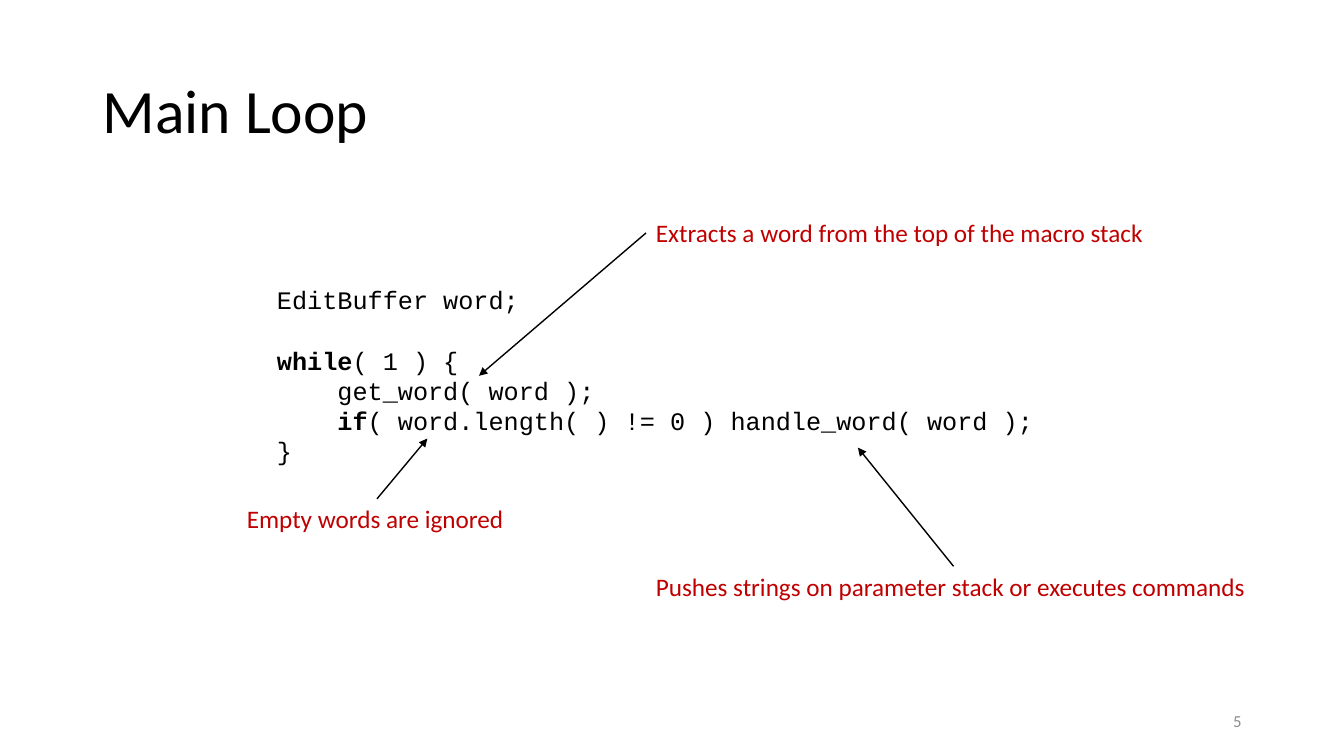
from pptx import Presentation
from pptx.dml.color import RGBColor
from pptx.enum.shapes import MSO_CONNECTOR
from pptx.enum.text import MSO_ANCHOR, MSO_AUTO_SIZE, PP_ALIGN
from pptx.oxml.ns import qn
from pptx.util import Cm, Pt
from lxml.etree import SubElement

COLORS = {"text": "000000", "note": "C00000", "number": "8C8C8C"}


def format_run(run, size, color, font="Calibri", bold=False):
    run.font.name = font
    run.font.size = Pt(size)
    run.font.bold = bold
    run.font.color.rgb = RGBColor.from_string(COLORS[color])


def add_text_box(left, top, width, height, wrap=False):
    text_box = slide.shapes.add_textbox(Cm(left), Cm(top), Cm(width), Cm(height))
    text_box.text_frame.word_wrap = wrap
    if not wrap:
        text_box.text_frame.auto_size = MSO_AUTO_SIZE.SHAPE_TO_FIT_TEXT
    return text_box.text_frame


presentation = Presentation()
presentation.slide_width = Cm(33.87)
presentation.slide_height = Cm(19.05)
slide = presentation.slides.add_slide(presentation.slide_layouts[5])

# Title
title = slide.shapes.title
title.left, title.top, title.width, title.height = Cm(2.33), Cm(1.01), Cm(29.21), Cm(3.68)
title.text_frame.text = "Main Loop"
title.text_frame.vertical_anchor = MSO_ANCHOR.MIDDLE
title_paragraph = title.text_frame.paragraphs[0]
title_paragraph.alignment = PP_ALIGN.LEFT
title_paragraph.line_spacing = 0.9
format_run(title_paragraph.runs[0], 44, "text")

# Slide number
number_frame = add_text_box(23.92, 17.66, 7.62, 1.01, wrap=True)
number_frame.text = "5"
number_frame.vertical_anchor = MSO_ANCHOR.MIDDLE
number_frame.paragraphs[0].alignment = PP_ALIGN.RIGHT
format_run(number_frame.paragraphs[0].runs[0], 12, "number")

# Code: indent level, keyword, rest of the line
code_lines = [
    (0, "", "EditBuffer word;"),
    (0, "while", "( 1 ) {"),
    (1, "", "get_word( word );"),
    (1, "if", "( word.length( ) != 0 ) handle_word( word );"),
    (0, "", "}"),
]
INDENT = Pt(43.2)  # four characters of 18 pt Courier New
code_frame = add_text_box(6.73, 7.04, 20.42, 4.88)
for index, (level, keyword, rest) in enumerate(code_lines):
    paragraph = code_frame.paragraphs[0] if index == 0 else code_frame.add_paragraph()
    paragraph._p.get_or_add_pPr().set("marL", str(level * INDENT))
    if keyword == "while":
        paragraph.space_before = Pt(21.7)
    for text, bold in ((keyword, True), (rest, False)):
        if text:
            run = paragraph.add_run()
            run.text = text
            format_run(run, 18, "text", "Courier New", bold)

# Notes on the code
notes = [
    ("Extracts a word from the top of the macro stack", 16.28, 5.36, 12.93),
    ("Pushes strings on parameter stack or executes commands", 16.28, 14.27, 15.52),
    ("Empty words are ignored", 5.97, 12.57, 7.06),
]
for text, left, top, width in notes:
    note_frame = add_text_box(left, top, width, 1.02)
    note_frame.text = text
    format_run(note_frame.paragraphs[0].runs[0], 18, "note")

# Arrows from the notes to the code
arrows = [
    (16.28, 5.87, 12.07, 9.47),
    (24.03, 14.27, 21.62, 11.28),
    (9.5, 12.57, 10.77, 11.05),
]
for ends in arrows:
    arrow = slide.shapes.add_connector(MSO_CONNECTOR.STRAIGHT, *map(Cm, ends))
    arrow.line.width = Pt(1)
    arrow.line.color.rgb = RGBColor.from_string(COLORS["text"])
    SubElement(arrow.line._get_or_add_ln(), qn("a:tailEnd"), type="triangle")
    SubElement(arrow._element.spPr, qn("a:effectLst"))

presentation.save("out.pptx")
